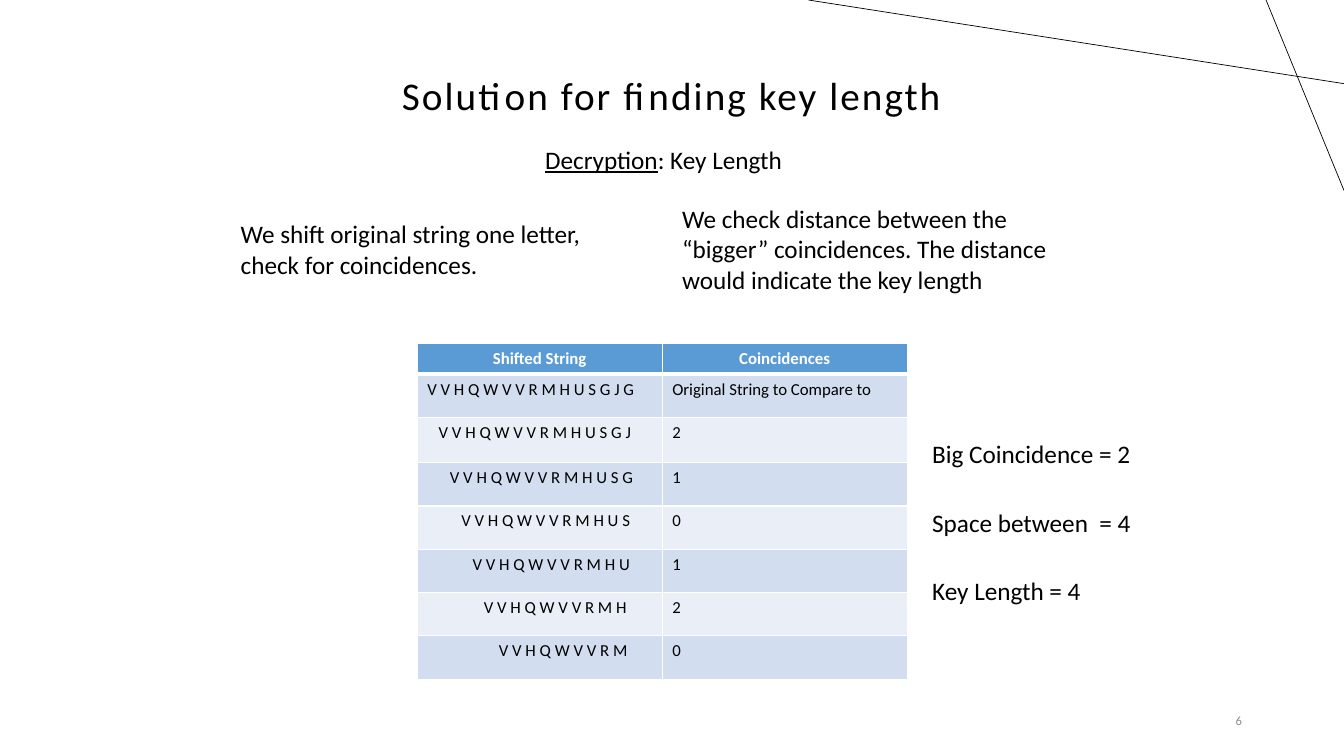
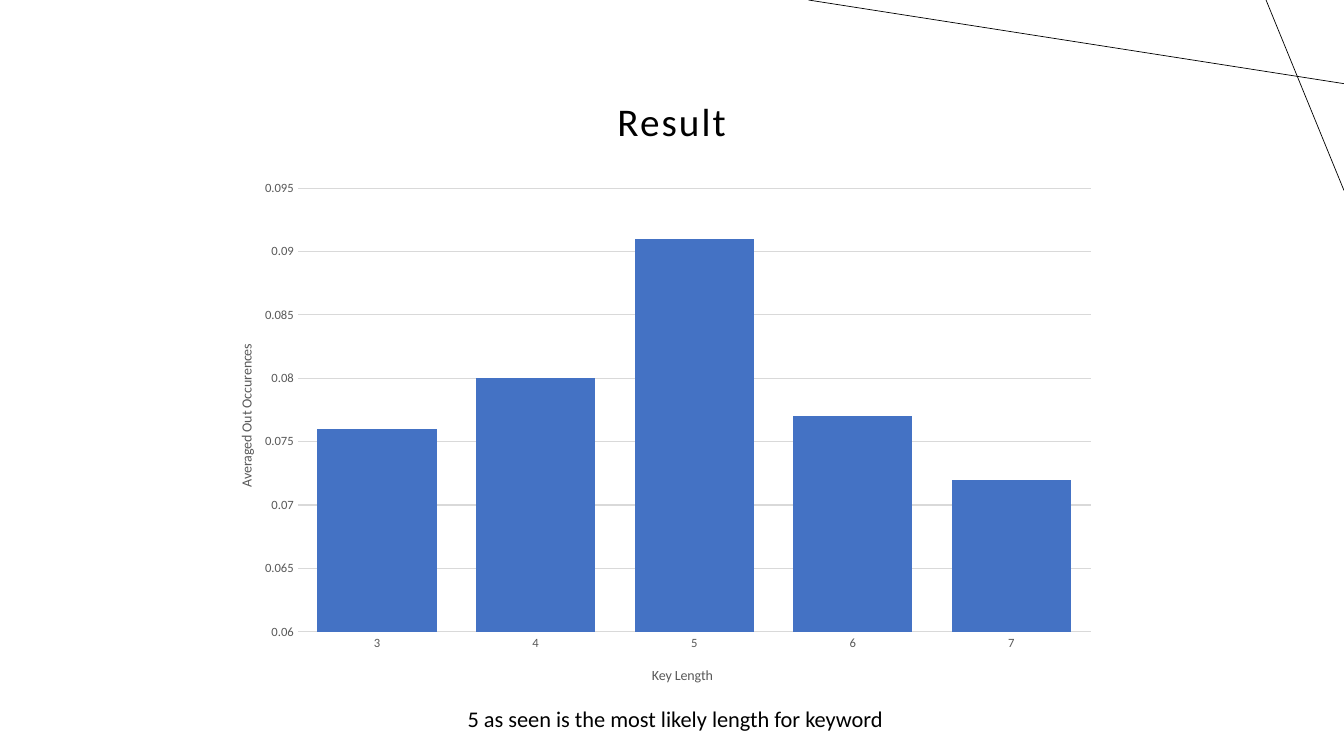
from lxml import etree
from pptx import Presentation
from pptx.chart.data import CategoryChartData
from pptx.dml.color import RGBColor
from pptx.enum.chart import XL_CHART_TYPE, XL_TICK_MARK
from pptx.enum.shapes import MSO_CONNECTOR
from pptx.enum.text import MSO_ANCHOR, PP_ALIGN
from pptx.oxml.ns import qn
from pptx.util import Inches, Pt

COLUMN = XL_CHART_TYPE.COLUMN_CLUSTERED
NO_TICK = XL_TICK_MARK.NONE
STRAIGHT = MSO_CONNECTOR.STRAIGHT
MIDDLE = MSO_ANCHOR.MIDDLE
LEFT, CENTER, RIGHT = PP_ALIGN.LEFT, PP_ALIGN.CENTER, PP_ALIGN.RIGHT

FONT = "Calibri"
COLORS = {
    "ink": "000000", "white": "FFFFFF", "muted": "8C8C8C", "label": "595959",
    "grid": "D9D9D9", "bar": "4472C4",
    "head": "5B9BD5", "odd": "D2DEEF", "even": "EAEFF7",
}
WIDTH, HEIGHT = Inches(13.33), Inches(7.5)

CIPHER = "VVHQWVVRMHUSGJG"
COUNTS = ["Original String to Compare to", "2", "1", "0", "1", "2", "0"]
INDENTS = [0, 3, 6, 9, 12, 15, 19]
INDENT = 0.28  # one indent step, percent of the slide width


# Lengths are percentages of the slide's width and height
def across(share):
    return int(WIDTH * share / 100)


def down(share):
    return int(HEIGHT * share / 100)


def area(left, top, width, height):
    return across(left), down(top), across(width), down(height)


def color(name):
    return RGBColor.from_string(COLORS[name])


def style(font, size, tint="ink", bold=False):
    font.name, font.size, font.bold = FONT, Pt(size), bold
    font.color.rgb = color(tint)


# Shared parts
def add_rays(slide, layout):
    """Draw the corner lines and move them to the layout."""
    rays = [(100, 11.07, 60.15, 0), (94.2, 0, 100, 25.2)]
    for num, (x1, y1, x2, y2) in enumerate(rays, 20):
        ray = slide.shapes.add_connector(
            STRAIGHT, across(x1), down(y1), across(x2), down(y2))
        ray.line.color.rgb = color("ink")
        ray.line.width = Pt(0.5)
        etree.SubElement(ray.element.find(qn("p:spPr")), qn("a:effectLst"))
        ray.element.find(".//" + qn("p:cNvPr")).set("id", str(num))
        layout.shapes.element.append(ray.element)


def set_title(slide, text, top):
    title = slide.shapes.title
    title.left, title.top, title.width, title.height = area(
        15.45, top, 69.05, 19.33)
    frame = title.text_frame
    frame.text, frame.vertical_anchor = text, MIDDLE
    para = frame.paragraphs[0]
    para.alignment, para.line_spacing = CENTER, 0.9
    style(para.font, 28)
    for props in title.element.iter(qn("a:defRPr")):
        props.set("spc", "150")


def add_text(slide, text, spot, size=18, tint="ink", align=LEFT, wrap=True):
    frame = slide.shapes.add_textbox(*area(*spot)).text_frame
    frame.word_wrap = wrap
    para = frame.paragraphs[0]
    para.text, para.alignment = text, align
    style(para.font, size, tint)
    return frame


# Table
def add_edges(cell, head):
    props = cell.fill and cell._tc.get_or_add_tcPr()
    for spot, side in enumerate(("lnL", "lnR", "lnT", "lnB")):
        width = Pt(3) if head and side == "lnB" else Pt(1)
        edge = etree.Element(qn("a:" + side), w=str(int(width)))
        fill = etree.SubElement(edge, qn("a:solidFill"))
        etree.SubElement(fill, qn("a:srgbClr"), val=COLORS["white"])
        props.insert(spot, edge)


def fill_cell(cell, text, row):
    head = row == 0
    cell.text = text
    para = cell.text_frame.paragraphs[0]
    para.alignment = CENTER if head else LEFT
    style(para.font, 12, "white" if head else "ink", head)
    cell.fill.solid()
    cell.fill.fore_color.rgb = color(
        "head" if head else "odd" if row % 2 else "even")
    add_edges(cell, head)


def add_shifts(slide):
    rows = [("Shifted String", "Coincidences")]
    for shift, count in enumerate(COUNTS):
        rows.append((" ".join(CIPHER[:len(CIPHER) - shift]), count))
    table = slide.shapes.add_table(
        len(rows), 2, *area(31.05, 45.47, 36.45, 44.4)).table
    for num, texts in enumerate(rows):
        table.rows[num].height = down({0: 3.73, 2: 6}.get(num, 5.73))
        for col, text in enumerate(texts):
            fill_cell(table.cell(num, col), text, num)
    for num, steps in enumerate(INDENTS, 1):
        table.cell(num, 0).margin_left = Inches(0.1) + across(steps * INDENT)


# Chart
def place(node, **shares):
    """Fix a chart part at shares of the chart's size."""
    layout = node.find(qn("c:layout"))
    if layout is None:
        layout = etree.Element(qn("c:layout"))
        node.insert(0, layout)
    manual = etree.SubElement(layout, qn("c:manualLayout"))
    if "w" in shares:
        etree.SubElement(manual, qn("c:layoutTarget"), val="inner")
    for key in "xy":
        etree.SubElement(manual, qn(f"c:{key}Mode"), val="edge")
    for key, share in shares.items():
        etree.SubElement(manual, qn("c:" + key), val=str(share))


def set_axis(axis, text, x, y):
    axis.major_tick_mark = axis.minor_tick_mark = NO_TICK
    style(axis.tick_labels.font, 9, "label")
    title = axis.axis_title
    title.text_frame.text = text
    style(title.text_frame.paragraphs[0].font, 10, "label")
    place(title.element, x=x, y=y)


def set_line(line):
    line.color.rgb = color("grid")
    line.width = Pt(0.75)


def add_bars(slide):
    data = CategoryChartData()
    data.categories = ["3", "4", "5", "6", "7"]
    data.add_series("Series 1", (0.076, 0.08, 0.091, 0.077, 0.072))
    chart = slide.shapes.add_chart(
        COLUMN, *area(15.45, 22.8, 67.05, 69.87), data).chart
    chart.has_legend = chart.has_title = False
    style(chart.font, 10)
    place(chart.element.find(".//" + qn("c:plotArea")),
          x=0.1, y=0.03, w=0.88, h=0.84)

    plot = chart.plots[0]
    plot.gap_width, plot.overlap, plot.vary_by_categories = 33, -30, False
    fill = plot.series[0].format.fill
    fill.solid()
    fill.fore_color.rgb = color("bar")

    lengths, rates = chart.category_axis, chart.value_axis
    set_axis(lengths, "Key Length", 0.49, 0.93)
    set_line(lengths.format.line)
    set_axis(rates, "Averaged Out Occurences", 0.03, 0.32)
    rates.format.line.fill.background()
    rates.minimum_scale, rates.maximum_scale = 0.06, 0.095
    rates.major_unit = 0.005
    rates.tick_labels.number_format = "General"
    rates.tick_labels.number_format_is_linked = False
    set_line(rates.major_gridlines.format.line)


# Slides
def build_key(slide):
    set_title(slide, "Solution for finding key length", 3.33)
    number = add_text(slide, "6", (70.65, 92.67, 22.5, 5.33),
                      9, "muted", RIGHT)
    number.vertical_anchor = MIDDLE
    add_shifts(slide)

    topic = add_text(slide, "", (39.82, 18.4, 20.4, 5.33), wrap=False)
    para = topic.paragraphs[0]
    for text, under in (("Decryption", True), (": Key Length", False)):
        run = para.add_run()
        run.text, run.font.underline = text, under

    add_text(slide, "We shift original string one letter, "
             "check for coincidences.", (17.17, 28.27, 27.6, 9.47))
    add_text(slide, "We check distance between the “bigger” coincidences. "
             "The distance would indicate the key length",
             (50.02, 26.27, 31.42, 13.47))
    facts = ["Big Coincidence = 2", "Space between  = 4", "Key Length = 4"]
    for num, fact in enumerate(facts):
        add_text(slide, fact, (68.62, 57.33 + 9.07 * num, 19.65, 5.33))


def build_result(slide):
    set_title(slide, "Result", 6.67)
    add_bars(slide)
    add_text(slide, "5 as seen is the most likely length for keyword",
             (34.05, 92.67, 34.88, 4.93), 16, wrap=False)


def main():
    deck = Presentation()
    deck.slide_width, deck.slide_height = WIDTH, HEIGHT
    layout = deck.slide_layouts[5]
    key = deck.slides.add_slide(layout)
    add_rays(key, layout)
    build_key(key)
    build_result(deck.slides.add_slide(layout))
    deck.save("out.pptx")


if __name__ == "__main__":
    main()
